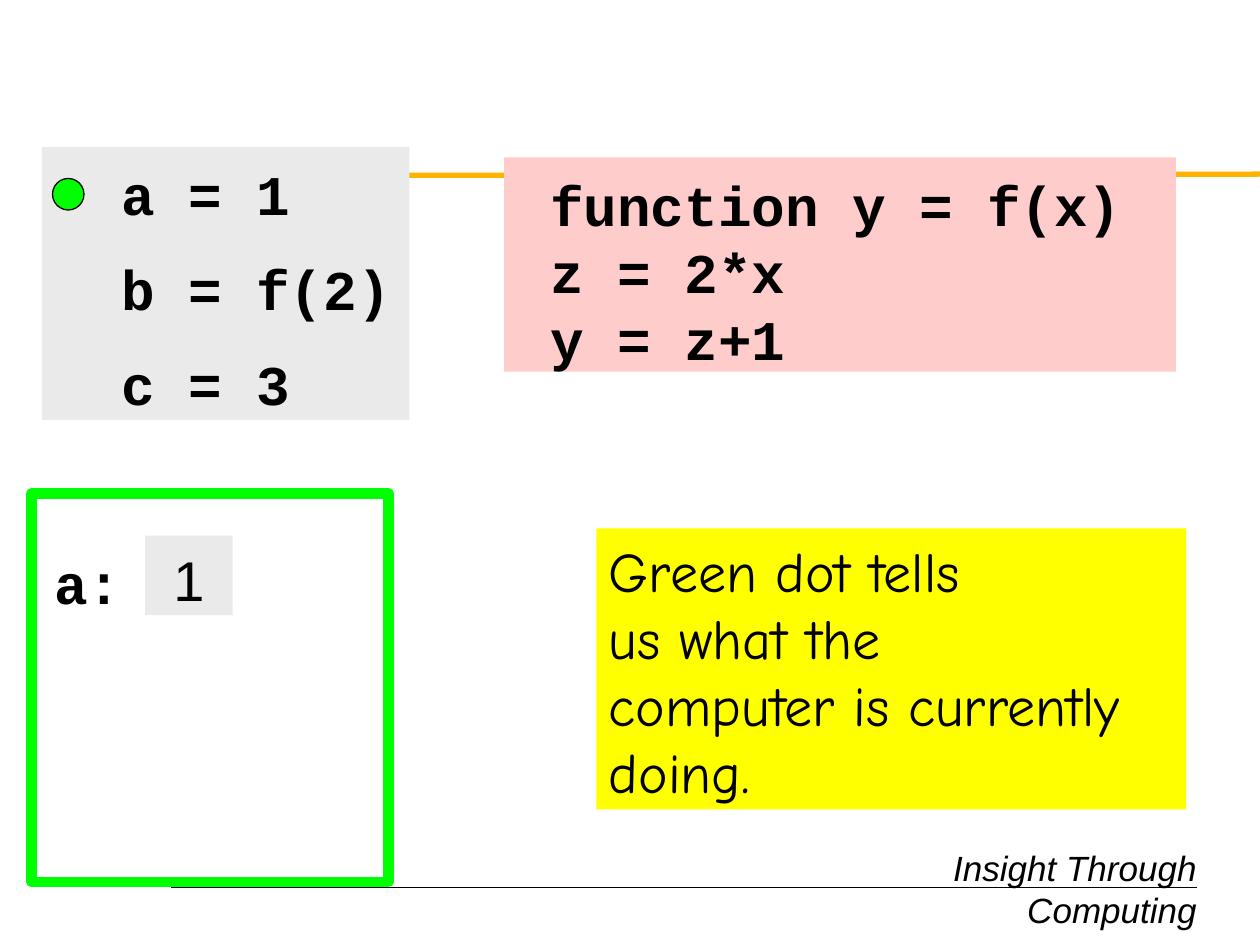
import pptx
import pptx.dml.color
import pptx.enum.shapes
import pptx.enum.text
import pptx.oxml.xmlchemy
import pptx.util
from lxml import etree

Pt = pptx.util.Pt
SHAPE = pptx.enum.shapes.MSO_SHAPE
ALIGN = pptx.enum.text.PP_ALIGN
CODE_FONT = "Courier New"
DRAWING_NS = "http://schemas.openxmlformats.org/drawingml/2006/main"
BLACK, GRAY, PINK = "000000", "EAEAEA", "FFCCCC"
YELLOW, GREEN, ORANGE = "FFFF00", "00FF00", "FFB300"
LINE_HEIGHT = 1.2


def color(hex_code):
    return pptx.dml.color.RGBColor.from_string(hex_code)


def add_rule(slide, start, end, line_color, width):
    rule = slide.shapes.add_connector(
        pptx.enum.shapes.MSO_CONNECTOR.STRAIGHT, *map(Pt, start + end))
    rule.line.color.rgb = color(line_color)
    rule.line.width = Pt(width)
    etree.SubElement(rule._element.spPr, "{%s}effectLst" % DRAWING_NS)


def add_panel(slide, box, fill=None, outline=None, width=0.75, kind=SHAPE.RECTANGLE):
    panel = slide.shapes.add_shape(kind, *map(Pt, box))
    panel.shadow.inherit = False
    if fill:
        panel.fill.solid()
        panel.fill.fore_color.rgb = color(fill)
    else:
        panel.fill.background()
    if outline:
        panel.line.color.rgb = color(outline)
        panel.line.width = Pt(width)
    else:
        panel.line.fill.background()
    return panel


def set_text(shape, lines, font=CODE_FONT, size=32, bold=False, italic=False,
             align=ALIGN.LEFT, gap=0, left=7.2, top=7.2, wrap=True):
    frame = shape.text_frame
    frame.text = "\n".join(lines)
    frame.word_wrap = wrap
    frame.auto_size = pptx.enum.text.MSO_AUTO_SIZE.NONE
    frame.vertical_anchor = pptx.enum.text.MSO_ANCHOR.TOP
    frame.margin_left, frame.margin_top = Pt(left), Pt(top)
    frame.margin_right, frame.margin_bottom = Pt(7.2), Pt(3.6)
    for index, paragraph in enumerate(frame.paragraphs):
        paragraph.alignment = align
        paragraph.line_spacing = Pt(size * LINE_HEIGHT)
        paragraph.space_before = Pt(gap if index else 0)
        for run in paragraph.runs:
            run.font.name = font
            run.font.size = Pt(size)
            run.font.bold = bold
            run.font.italic = italic
            run.font.color.rgb = color(BLACK)


def add_page_frame(slide):
    """Rules and footer that belong to the course design."""
    add_rule(slide, (98, 507), (684, 507), BLACK, 0.75)
    add_rule(slide, (36, 100.5), (720, 99.5), ORANGE, 3)
    footer = slide.shapes.add_textbox(Pt(534), Pt(480), Pt(157), Pt(27.5))
    set_text(footer, ["Insight Through Computing"], "Arial", 20,
             italic=True, align=ALIGN.RIGHT, top=3.6)


def add_script(slide, box):
    """Main script, with the green dot on its current line."""
    left, top, _, _ = box
    script = add_panel(slide, box, GRAY)
    set_text(script, ["a = 1", "b = f(2)", "c = 3"],
             bold=True, gap=16, left=45.6)
    add_panel(slide, (left + 6, top + 18, 18, 18), GREEN, BLACK,
              kind=SHAPE.OVAL)


def add_function(slide, box):
    function = add_panel(slide, box, PINK)
    set_text(function, ["function y = f(x)", "z = 2*x", "y = z+1"],
             bold=True, left=26.4)


def add_workspace(slide, box):
    """Memory frame holding the variable a."""
    left, top, _, _ = box
    value = add_panel(slide, (left + 65, top + 24, 50, 45.5), GRAY)
    set_text(value, ["1"], "Arial", align=ALIGN.CENTER, top=5.7)
    variable = slide.shapes.add_textbox(
        Pt(left + 6), Pt(top + 24), Pt(53), Pt(45.5))
    set_text(variable, ["a:"], bold=True, wrap=False)
    add_panel(slide, box, outline=GREEN, width=6)


def add_explanation(slide, box):
    explanation = add_panel(slide, box, YELLOW)
    set_text(explanation, ["Green dot tells", "us what the",
                           "computer is currently", "doing."],
             "Comic Neue", top=4.5)


def main():
    deck = pptx.Presentation()
    deck.slide_width, deck.slide_height = Pt(720), Pt(540)
    slide = deck.slides.add_slide(deck.slide_layouts[6])
    add_page_frame(slide)
    add_script(slide, (24, 84, 210, 156))
    add_function(slide, (288, 90, 384, 122.4))
    add_workspace(slide, (18, 282, 204, 222))
    add_explanation(slide, (340.8, 302, 337, 160.6))
    deck.save("out.pptx")


if __name__ == "__main__":
    main()
